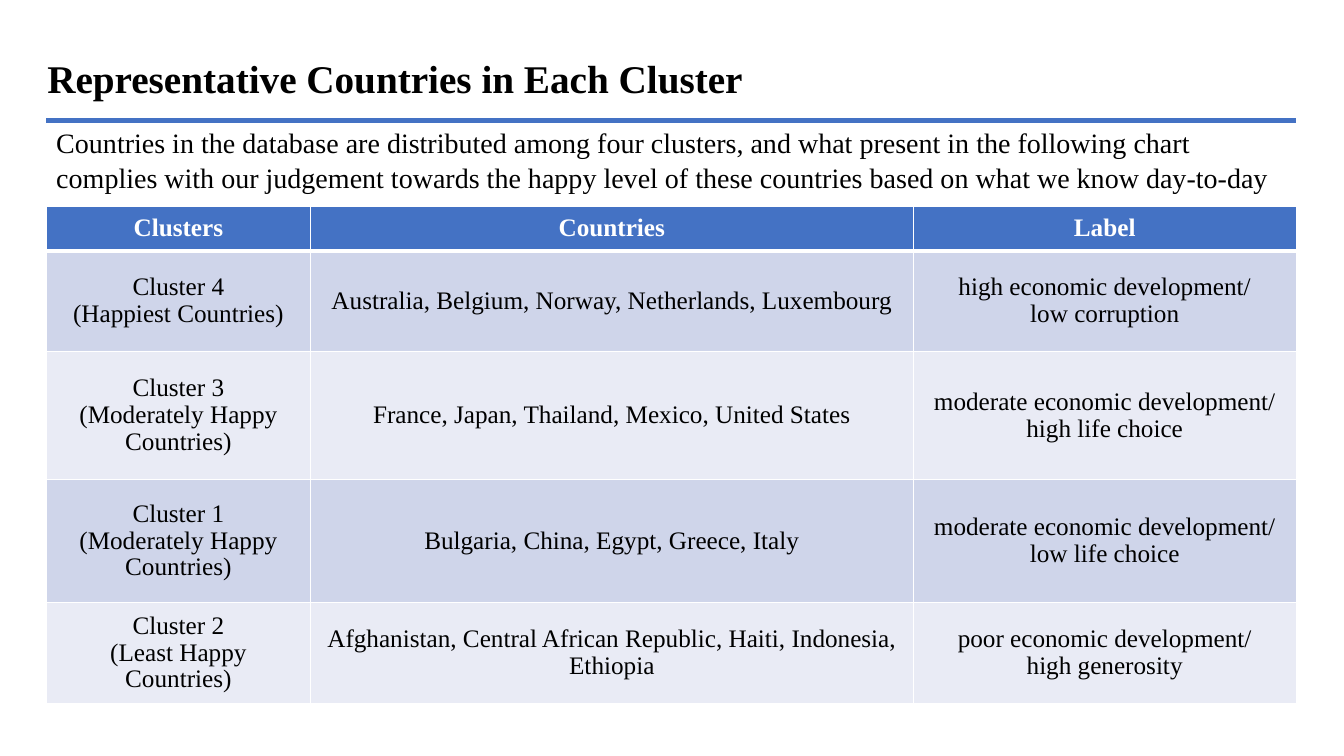
from lxml.etree import SubElement
from pptx import Presentation
from pptx.dml.color import RGBColor as RGB
from pptx.enum.text import MSO_ANCHOR as ANCHOR, PP_ALIGN as ALIGN
from pptx.oxml import parse_xml
from pptx.oxml.ns import nsdecls, qn
from pptx.util import Inches, Pt

COLORS = {"ink": "000000", "white": "FFFFFF", "blue": "4472C4",
          "band_dark": "CFD5EA", "band_light": "E9EBF5"}
FONT = "Times New Roman"
WIDTH, HEIGHT = Inches(13.33), Inches(7.5)
COL, ROW = WIDTH / 100, HEIGHT / 100

COLUMN_WEIGHTS = (2.62, 5.98, 3.8)
ROW_WEIGHTS = (0.44, 1, 1.27, 1.22, 1)
CLUSTERS = [
    ("Clusters", "Countries", "Label"),
    ("Cluster 4\n(Happiest Countries)",
     "Australia, Belgium, Norway, Netherlands, Luxembourg",
     "high economic development/\nlow corruption"),
    ("Cluster 3\n(Moderately Happy Countries)",
     "France, Japan, Thailand, Mexico, United States",
     "moderate economic development/\nhigh life choice"),
    ("Cluster 1\n(Moderately Happy Countries)",
     "Bulgaria, China, Egypt, Greece, Italy",
     "moderate economic development/\nlow life choice"),
    ("Cluster 2\n(Least Happy Countries)",
     "Afghanistan, Central African Republic, Haiti, Indonesia, Ethiopia",
     "poor economic development/\nhigh generosity"),
]


def grid(x, y, w, h):
    """Turn a box in grid columns and rows into slide lengths."""
    return round(x * COL), round(y * ROW), round(w * COL), round(h * ROW)


def color(name):
    """Look up a named colour."""
    return RGB.from_string(COLORS[name])


def write(tf, text, size=18, ink="ink", bold=False, align=ALIGN.LEFT, spacing=1.0):
    """Fill a text frame with one paragraph per line of text."""
    tf.word_wrap = True
    tf.text = text
    for p in tf.paragraphs:
        p.alignment, p.line_spacing = align, spacing
        for r in p.runs:
            r.font.name, r.font.size, r.font.bold = FONT, Pt(size), bold
            r.font.color.rgb = color(ink)


def add_text(s, box, text, **fmt):
    """Place a text box on the slide."""
    write(s.shapes.add_textbox(*box).text_frame, text, **fmt)


def add_rule(s, box):
    """Draw the blue rule along the top of its box."""
    x, y, w, _ = box
    line = s.shapes.add_connector(1, x, y, x + w, y)
    line.line.color.rgb, line.line.width = color("blue"), Pt(3.75)
    SubElement(line._element.spPr, qn("a:effectLst"))


def set_borders(cell, top, bottom):
    """Give a cell white borders of the given point widths."""
    tcPr = cell._tc.get_or_add_tcPr()
    for i, (side, width) in enumerate(zip("LRTB", (1, 1, top, bottom))):
        tcPr.insert(i, parse_xml(
            f'<a:ln{side} {nsdecls("a")} w="{Pt(width)}"><a:solidFill>'
            f'<a:srgbClr val="{COLORS["white"]}"/></a:solidFill></a:ln{side}>'))


def add_cluster_table(s, box):
    """Place the cluster table, sharing its box by row and column weights."""
    x, y, w, h = box
    table = s.shapes.add_table(len(CLUSTERS), len(COLUMN_WEIGHTS), x, y, w, h).table
    for column, weight in zip(table.columns, COLUMN_WEIGHTS):
        column.width = round(w * weight / sum(COLUMN_WEIGHTS))
    for i, (row, weight, texts) in enumerate(zip(table.rows, ROW_WEIGHTS, CLUSTERS)):
        row.height = round(h * weight / sum(ROW_WEIGHTS))
        head = i == 0
        fill = "blue" if head else "band_dark" if i % 2 else "band_light"
        for cell, text in zip(row.cells, texts):
            cell.fill.solid()
            cell.fill.fore_color.rgb = color(fill)
            cell.vertical_anchor = ANCHOR.MIDDLE
            write(cell.text_frame, text, ink="white" if head else "ink",
                  bold=head, align=ALIGN.CENTER, spacing=0.96)
            set_borders(cell, top=3 if i == 1 else 1, bottom=3 if head else 1)


def build_clusters_slide(prs):
    """Build the slide with its title, rule, introduction and table."""
    s = prs.slides.add_slide(prs.slide_layouts[6])
    add_text(s, grid(2.78, 6.53, 74, 7.6), "Representative Countries in Each Cluster",
             size=28, bold=True)
    add_rule(s, grid(3.45, 15.9, 93, 0))
    add_text(s, grid(3.45, 15.73, 93, 10.27),
             "Countries in the database are distributed among four clusters, and what "
             "present in the following chart complies with our judgement towards the "
             "happy level of these countries based on what we know day-to-day",
             size=20, spacing=1.05)
    add_cluster_table(s, grid(3.45, 27.33, 93, 65.73))


prs = Presentation()
prs.slide_width, prs.slide_height = WIDTH, HEIGHT
build_clusters_slide(prs)
prs.save("out.pptx")
